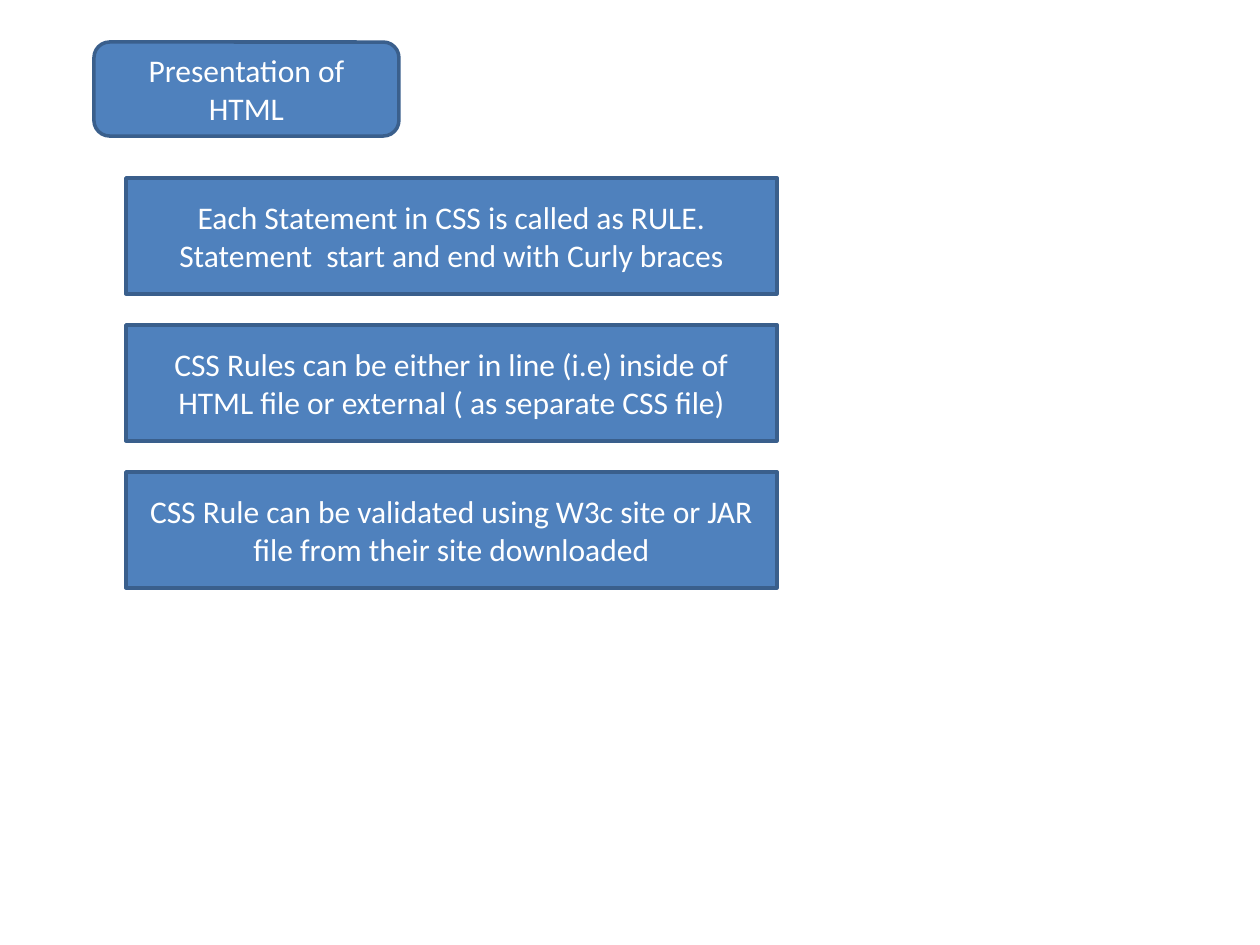
"""Build a slide of CSS rule notes under a rounded title box."""
from pptx import Presentation
from pptx.dml.color import RGBColor as Rgb
from pptx.enum.shapes import MSO_SHAPE as Form
from pptx.enum.text import MSO_ANCHOR as Anchor, PP_ALIGN as Align
from pptx.util import Emu, Pt

SCALE = 914400 // 126
NOTES = [
    "Each Statement in CSS is called as RULE.\n"
    "Statement  start and end with Curly braces",
    "CSS Rules can be either in line (i.e) inside of HTML file "
    "or external ( as separate CSS file)",
    "CSS Rule can be validated using W3c site or JAR file "
    "from their site downloaded",
]


def px(size):
    return Emu(size * SCALE)


def tint(color, code):
    color.rgb = Rgb.from_string(code)


def add_box(slide, form, area, text):
    box = slide.shapes.add_shape(form, *map(px, area))
    box.shadow.inherit = False
    box.fill.solid()
    tint(box.fill.fore_color, "4F81BD")
    tint(box.line.color, "3A5F8C")
    box.line.width = Pt(2)
    frame = box.text_frame
    frame.word_wrap = True
    frame.vertical_anchor = Anchor.MIDDLE
    frame.text = text
    for para in frame.paragraphs:
        para.alignment = Align.CENTER
        para.font.name = "Calibri"
        para.font.size = Pt(18)
        tint(para.font.color, "FFFFFF")


def main():
    deck = Presentation()
    deck.slide_width, deck.slide_height = px(1260), px(945)
    slide = deck.slides.add_slide(deck.slide_layouts[6])
    add_box(slide, Form.ROUNDED_RECTANGLE, (94, 42, 305, 94),
            "Presentation of HTML")
    for row, note in enumerate(NOTES):
        add_box(slide, Form.RECTANGLE, (126, 178 + 147 * row, 651, 116), note)
    deck.save("out.pptx")


main()
